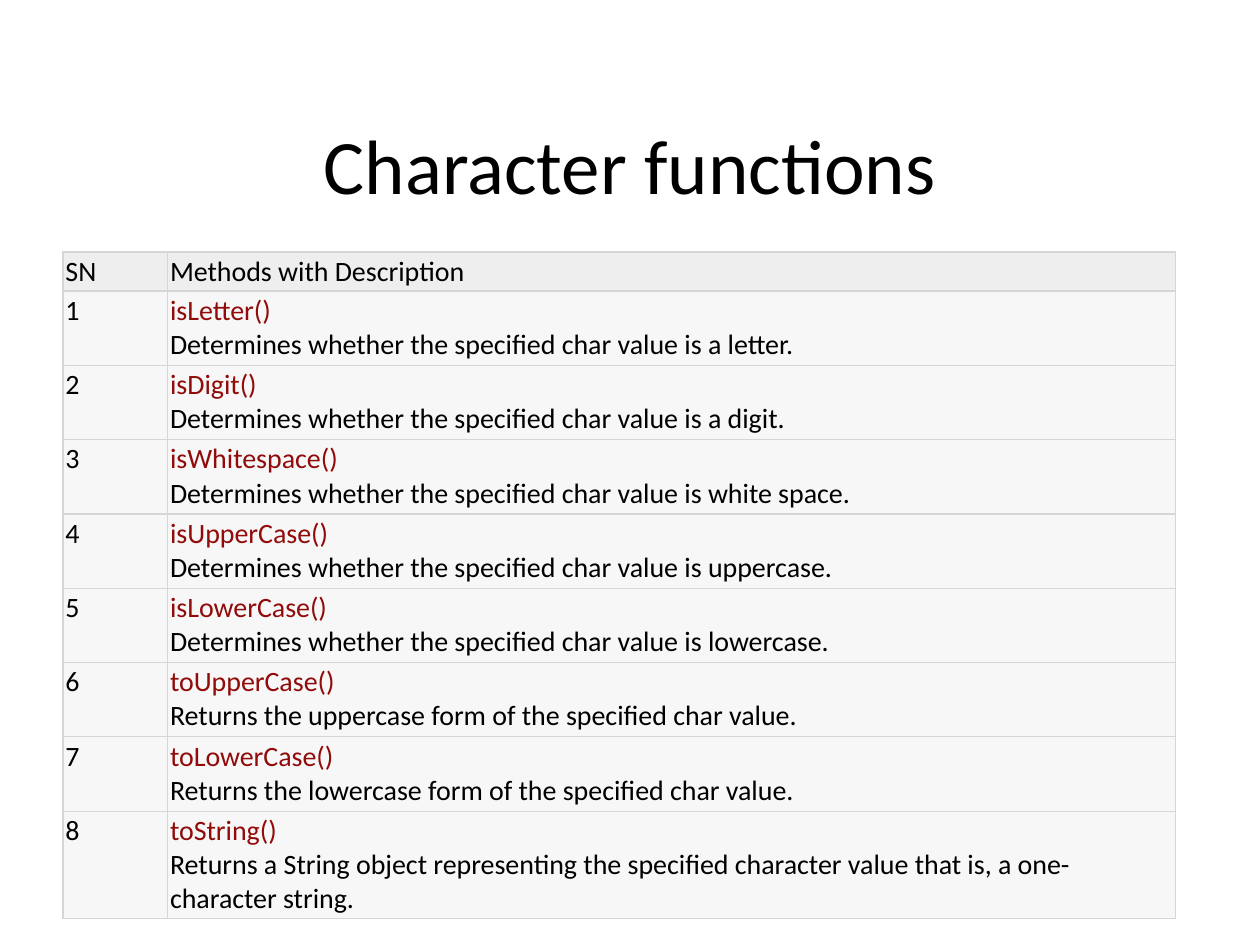
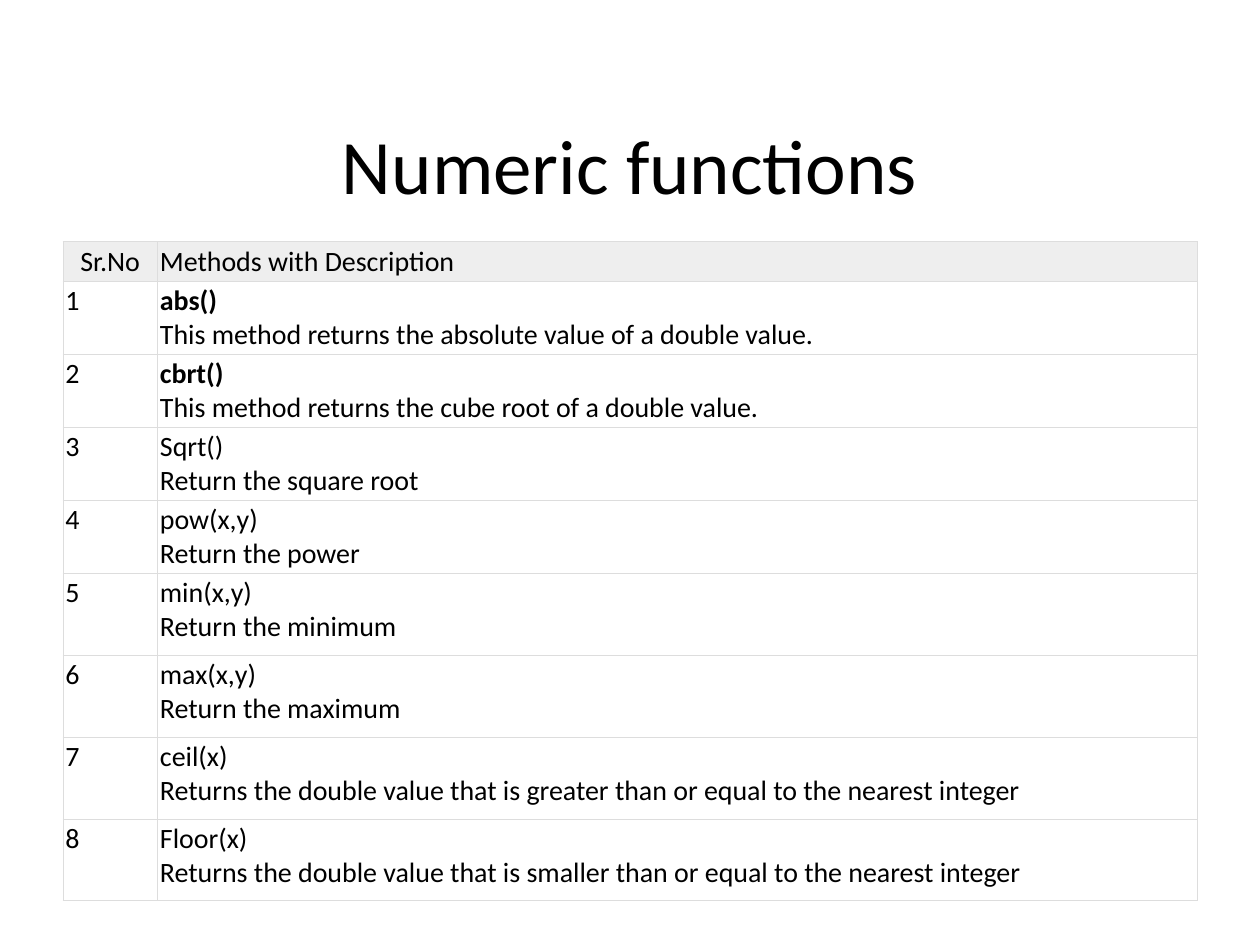
from dataclasses import dataclass

from lxml import etree
from pptx import Presentation
from pptx.dml.color import RGBColor
from pptx.enum.text import MSO_ANCHOR, PP_ALIGN
from pptx.oxml.ns import qn
from pptx.util import Inches, Pt

LEFT, CENTER = PP_ALIGN.LEFT, PP_ALIGN.CENTER
MIDDLE = MSO_ANCHOR.MIDDLE

FONT = "Calibri"
TITLE_SIZE, CELL_SIZE = 44, 16
CELL_INSET = Inches(0.02)
HEADER_HEIGHT = 0.31

BLACK = RGBColor(0x00, 0x00, 0x00)
WHITE = RGBColor(0xFF, 0xFF, 0xFF)
DARK_RED = RGBColor(0x90, 0x0B, 0x09)
HEADER_GRAY = RGBColor(0xEE, 0xEE, 0xEE)
ROW_GRAY = RGBColor(0xF7, 0xF7, 0xF7)
BORDER_GRAY = RGBColor(0xD6, 0xD6, 0xD6)
LIGHT_BORDER = RGBColor(0xDD, 0xDD, 0xDD)


@dataclass(frozen=True)
class Method:
    name: str
    description: str
    height: float
    bold: bool = False
    one_paragraph: bool = True


@dataclass(frozen=True)
class MethodSlide:
    title: str
    number_heading: str
    heading_align: PP_ALIGN
    top: float
    column_widths: tuple[float, float]
    row_fill: RGBColor
    name_color: RGBColor
    border_color: RGBColor
    border_width: float
    methods: list[Method]


CHARACTER_METHODS = [
    Method(name, description, 0.59)
    for name, description in [
        ("isLetter()", "Determines whether the specified char value is a letter."),
        ("isDigit()", "Determines whether the specified char value is a digit."),
        ("isWhitespace()", "Determines whether the specified char value is white space."),
        ("isUpperCase()", "Determines whether the specified char value is uppercase."),
        ("isLowerCase()", "Determines whether the specified char value is lowercase."),
        ("toUpperCase()", "Returns the uppercase form of the specified char value."),
        ("toLowerCase()", "Returns the lowercase form of the specified char value."),
    ]
] + [
    Method("toString()", "Returns a String object representing the specified character "
           "value that is, a one-character string.", 0.85),
]

ROUNDING = "Returns the double value that is {} than or equal to the nearest integer"
NUMERIC_METHODS = [
    Method("abs()", "This method returns the absolute value of a double value.", 0.58, bold=True),
    Method("cbrt()", "This method returns the cube root of a double value.", 0.58, bold=True),
] + [
    Method(name, description, height, one_paragraph=False)
    for name, description, height in [
        ("Sqrt()", "Return the square root", 0.58),
        ("pow(x,y)", "Return the power", 0.58),
        ("min(x,y)", "Return the minimum", 0.65),
        ("max(x,y)", "Return the maximum", 0.65),
        ("ceil(x)", ROUNDING.format("greater"), 0.65),
        ("Floor(x)", ROUNDING.format("smaller"), 0.65),
    ]
]

SLIDES = [
    MethodSlide("Character functions", "SN", LEFT, 2, (0.83, 8), ROW_GRAY, DARK_RED,
                BORDER_GRAY, 0.75, CHARACTER_METHODS),
    MethodSlide("Numeric functions", "Sr.No", CENTER, 1.92, (0.75, 8.25), WHITE, BLACK,
                LIGHT_BORDER, 0.6, NUMERIC_METHODS),
]


def write(paragraph, text: str, *, size: float = CELL_SIZE, color: RGBColor = BLACK,
          bold: bool = False, align: PP_ALIGN = LEFT) -> None:
    paragraph.alignment = align
    run = paragraph.add_run()
    run.text = text
    run.font.name = FONT
    run.font.size = Pt(size)
    run.font.bold = bold
    run.font.color.rgb = color


def break_line(paragraph) -> None:
    """Add a line break that keeps the cell's text size."""
    paragraph.add_line_break()
    etree.SubElement(paragraph._p[-1], qn("a:rPr"), sz=str(CELL_SIZE * 100))


def set_borders(cell, color: RGBColor, width: float) -> None:
    properties = cell._tc.get_or_add_tcPr()
    for index, side in enumerate(("a:lnL", "a:lnR", "a:lnT", "a:lnB")):
        line = etree.Element(qn(side), w=str(int(Pt(width))))
        fill = etree.SubElement(line, qn("a:solidFill"))
        etree.SubElement(fill, qn("a:srgbClr"), val=str(color))
        properties.insert(index, line)


def style_cell(cell, fill: RGBColor, content: MethodSlide) -> None:
    cell.margin_left = cell.margin_right = CELL_INSET
    cell.margin_top = cell.margin_bottom = CELL_INSET
    cell.fill.solid()
    cell.fill.fore_color.rgb = fill
    set_borders(cell, content.border_color, content.border_width)


def add_title(slide, text: str) -> None:
    frame = slide.shapes.add_textbox(Inches(0.5), Inches(0.67), Inches(9), Inches(1.25)).text_frame
    frame.word_wrap = True
    frame.vertical_anchor = MIDDLE
    write(frame.paragraphs[0], text, size=TITLE_SIZE, align=CENTER)


def write_method(frame, method: Method, name_color: RGBColor) -> None:
    paragraph = frame.paragraphs[0]
    write(paragraph, method.name, color=name_color, bold=method.bold)
    if method.one_paragraph:
        break_line(paragraph)
    else:
        paragraph = frame.add_paragraph()
    write(paragraph, method.description)


def add_method_table(slide, content: MethodSlide) -> None:
    heights = [HEADER_HEIGHT] + [method.height for method in content.methods]
    table = slide.shapes.add_table(
        len(heights), 2, Inches(0.5), Inches(content.top),
        Inches(sum(content.column_widths)), Inches(sum(heights))).table
    for column, width in zip(table.columns, content.column_widths):
        column.width = Inches(width)
    for index, (row, height) in enumerate(zip(table.rows, heights)):
        row.height = Inches(height)
        for cell in row.cells:
            style_cell(cell, content.row_fill if index else HEADER_GRAY, content)

    # Header row
    write(table.cell(0, 0).text_frame.paragraphs[0], content.number_heading,
          align=content.heading_align)
    write(table.cell(0, 1).text_frame.paragraphs[0], "Methods with Description")

    # Numbered methods
    for number, method in enumerate(content.methods, start=1):
        write(table.cell(number, 0).text_frame.paragraphs[0], str(number))
        write_method(table.cell(number, 1).text_frame, method, content.name_color)


def main() -> None:
    presentation = Presentation()
    presentation.slide_width, presentation.slide_height = Inches(10), Inches(7.5)
    blank_layout = presentation.slide_layouts[6]
    for content in SLIDES:
        slide = presentation.slides.add_slide(blank_layout)
        add_title(slide, content.title)
        add_method_table(slide, content)
    presentation.save("out.pptx")


if __name__ == "__main__":
    main()
